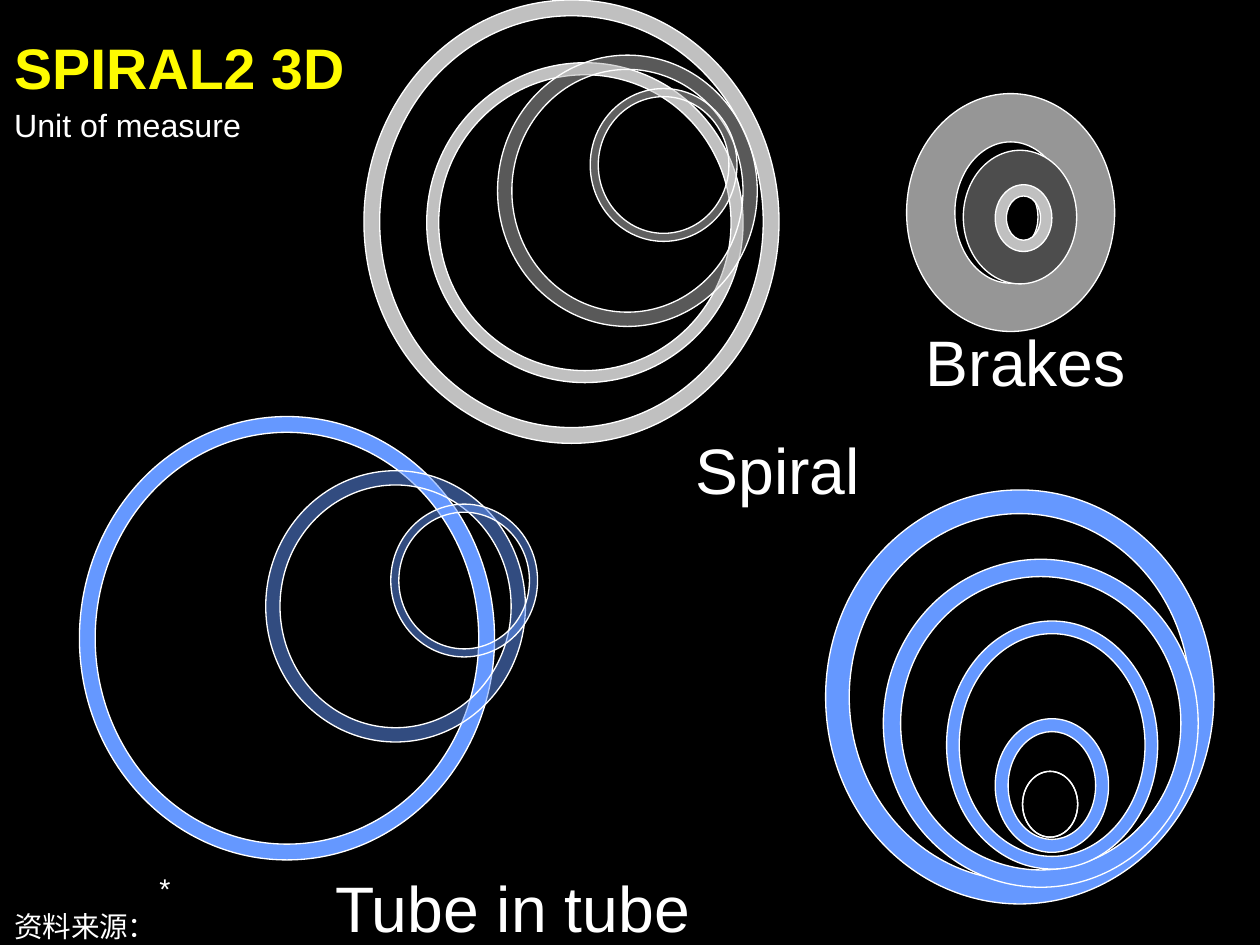
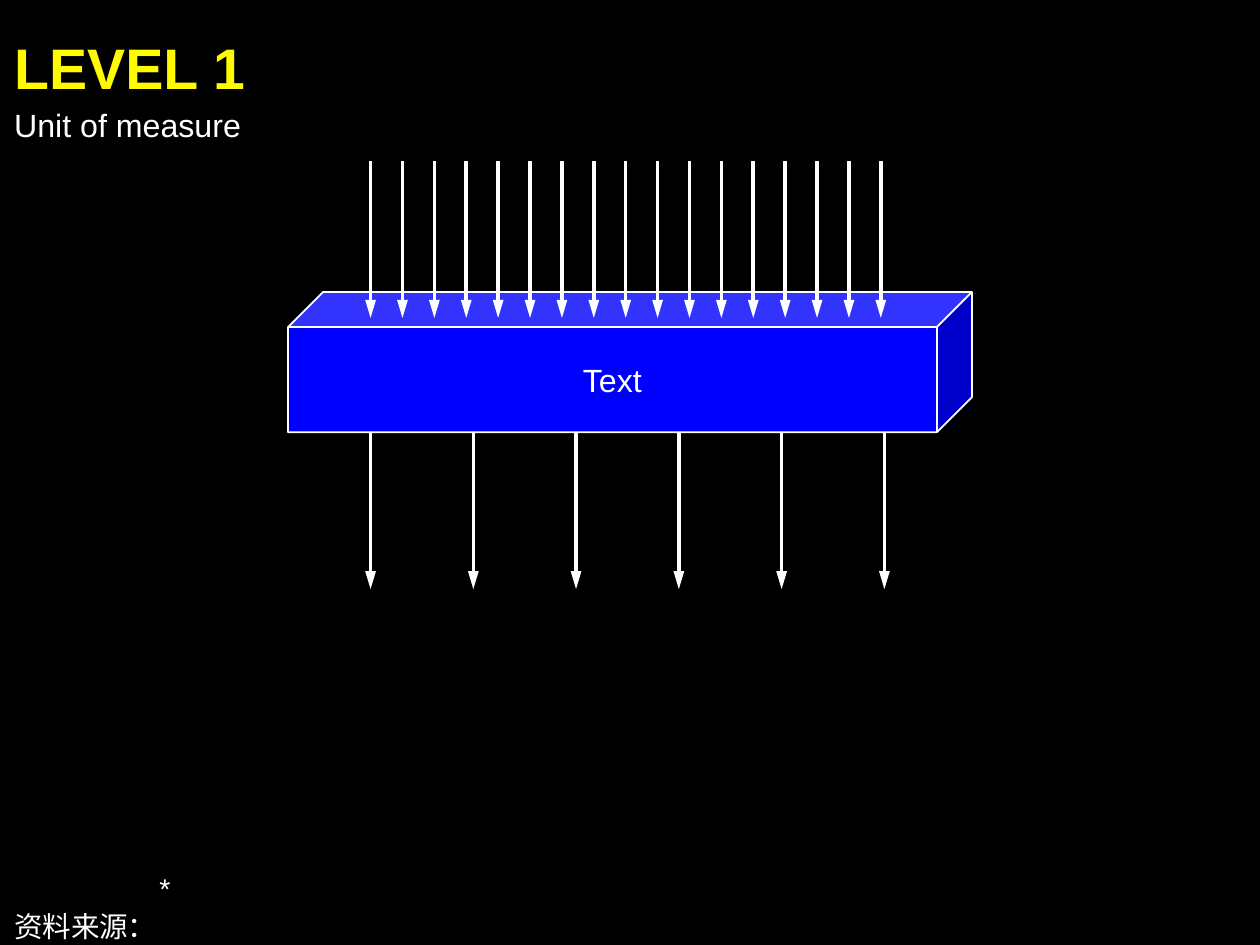
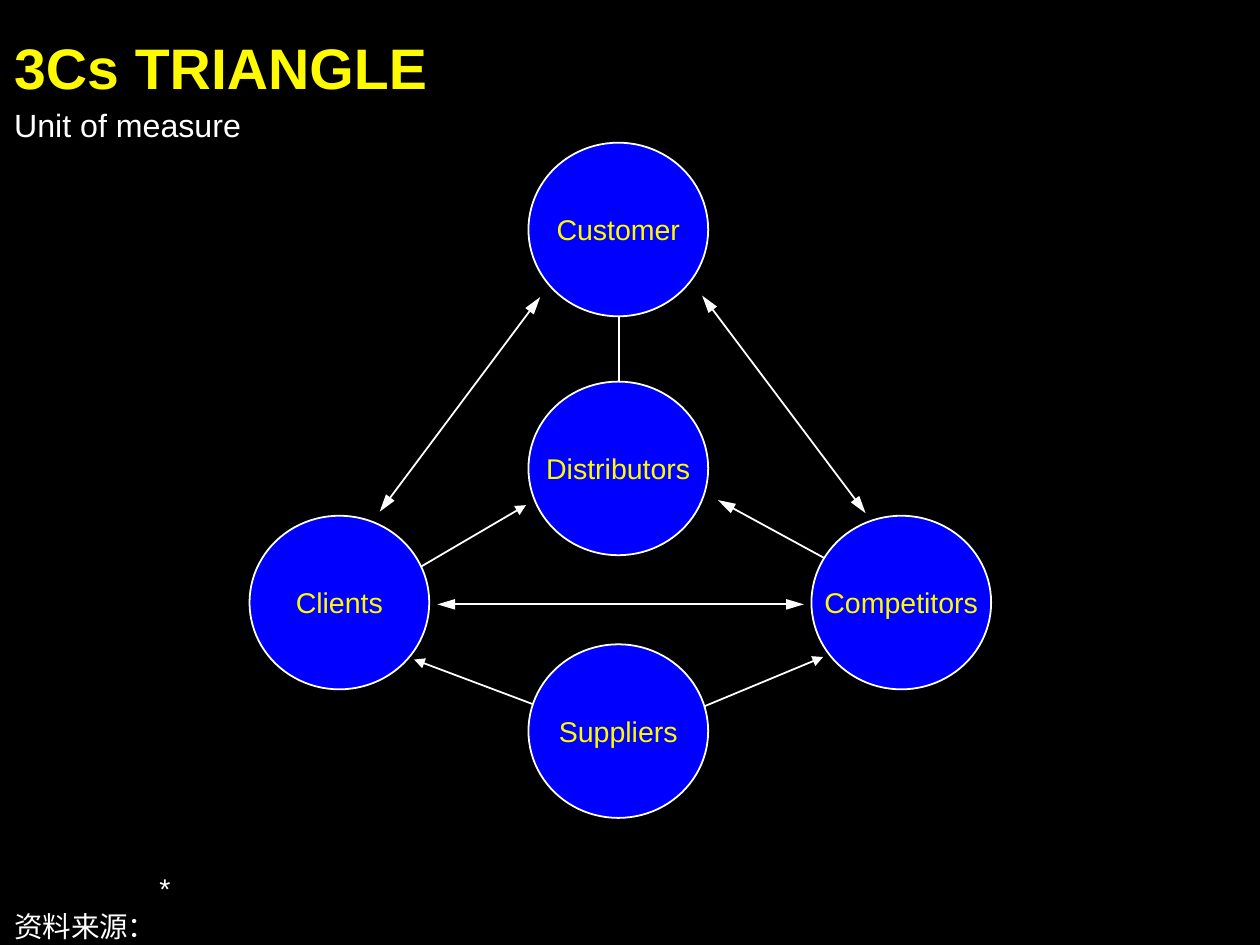
from dataclasses import dataclass

from lxml.etree import SubElement
from pptx import Presentation
from pptx.dml.color import RGBColor
from pptx.enum.shapes import MSO_CONNECTOR as CONN, MSO_SHAPE as SHAPE
from pptx.enum.text import MSO_ANCHOR as ANCHOR, MSO_AUTO_SIZE as FIT, PP_ALIGN as ALIGN
from pptx.oxml.ns import qn
from pptx.util import Cm, Pt


@dataclass(frozen=True)
class Theme:
    """Colours, font and type sizes of the deck."""
    back: str = "000000"
    ink: str = "FFFFFF"
    accent: str = "FEFB00"
    blue: str = "0000FE"
    sky: str = "6598FF"
    silver: str = "C0C0C0"
    ash: str = "B2B2B2"
    grey: str = "969696"
    coal: str = "4D4D4D"
    font: str = "Arial"
    title: int = 32
    label: int = 36
    body: int = 18
    small: int = 16


T = Theme()
TITLE_BOX = (0.28, 0.64, 24.16, 1.35)
UNIT_BOX = (0.28, 2.08, 18.39, 0.76)
SOURCE_BOX = (0.28, 17.22, 23.93, 1.42)

# Each ring: left, top, width, height, thickness, colour, opacity in percent.
SPIRAL = [
    (0, 0, 8.2, 8.76, 0.038, T.silver, 100),
    (1.24, 1.24, 6.25, 6.32, 0.038, T.silver, 100),
    (2.64, 1.09, 5.13, 5.36, 0.055, T.ash, 50),
    (4.47, 1.75, 2.9, 3.02, 0.055, T.silver, 50),
]
TUBE = [
    (0, 0, 8.2, 8.76, 0.038, T.sky, 100),
    (3.68, 1.07, 5.13, 5.36, 0.055, T.sky, 50),
    (6.15, 1.73, 2.9, 3.02, 0.055, T.sky, 50),
]
BRAKES = [
    (0, 0, 4.11, 4.7, 0.232, T.grey, 100),
    (1.12, 1.12, 2.24, 2.64, 0.341, T.coal, 100),
    (1.75, 1.8, 1.12, 1.32, 0.199, T.silver, 100),
]
NESTED = [
    (0, 0, 7.67, 8.18, 0.061, T.sky, 100),
    (1.14, 1.37, 6.22, 6.48, 0.055, T.sky, 100),
    (2.39, 2.59, 4.17, 4.9, 0.06, T.sky, 100),
    (3.35, 4.52, 2.24, 2.64, 0.114, T.sky, 100),
    (3.89, 5.56, 1.09, 1.3, 0, T.sky, 100),
]
CIRCLES = [
    ("Customer", 5.51, 0),
    ("Clients", 0, 7.37),
    ("Distributors", 5.51, 4.72),
    ("Competitors", 11.1, 7.37),
    ("Suppliers", 5.51, 9.91),
]
LINKS = [
    ((6.71, 11.51), (3.25, 10.21), {"tail": "med"}),
    ((7.67, 11.68), (11.33, 10.16), {"tail": "med"}),
    ((2.03, 9.17), (5.46, 7.16), {"tail": "med"}),
    ((12.85, 9.02), (9.25, 7.06), {"tail": "lg"}),
    ((7.3, 1.63), (7.3, 5.94), {}),
    ((5.74, 3.05), (2.57, 7.29), {"head": "lg", "tail": "lg"}),
    ((8.94, 3.02), (12.17, 7.32), {"head": "lg", "tail": "lg"}),
    ((10.95, 9.12), (3.71, 9.12), {"head": "lg", "tail": "lg"}),
]


def cm(*values):
    """Turn numbers in centimetres into lengths."""
    return [Cm(v) for v in values]


def assign(obj, values):
    """Set every attribute in a dict of format values."""
    for name, value in values.items():
        setattr(obj, name, value)


def write(tf, lines, size, color=T.ink, bold=False, align=ALIGN.LEFT, **frame):
    """Fill a text frame with lines of one style, without insets."""
    margins = dict.fromkeys(("margin_left", "margin_top", "margin_right", "margin_bottom"), 0)
    defaults = {"word_wrap": True, "auto_size": FIT.NONE, "vertical_anchor": ANCHOR.TOP}
    assign(tf, {**margins, **defaults, **frame})
    for i, line in enumerate(lines):
        p = tf.add_paragraph() if i else tf.paragraphs[0]
        p.alignment = align
        r = p.add_run()
        r.text = line
        assign(r.font, {"name": T.font, "size": Pt(size), "bold": bold})
        r.font.color.rgb = RGBColor.from_string(color)


def add_text(s, box, lines, size, **style):
    """Add a text box and return its frame."""
    tf = s.shapes.add_textbox(*cm(*box)).text_frame
    write(tf, lines, size, **style)
    return tf


def add_shape(s, kind, box, fill, width, opacity=100):
    """Add a filled, outlined preset shape."""
    sp = s.shapes.add_shape(kind, *cm(*box))
    sp.shadow.inherit = False
    sp.fill.solid()
    sp.fill.fore_color.rgb = RGBColor.from_string(fill)
    sp.line.color.rgb = RGBColor.from_string(T.ink)
    sp.line.width = Pt(width)
    if opacity < 100:
        color = sp._element.spPr.find(qn("a:solidFill"))[0]
        SubElement(color, qn("a:alpha"), val=str(opacity * 1000))
    return sp


def add_line(s, start, end, width, heads):
    """Add a straight line; heads maps an end to its arrowhead length."""
    line = s.shapes.add_connector(CONN.STRAIGHT, *cm(*start, *end))
    line.line.color.rgb = RGBColor.from_string(T.ink)
    line.line.width = Pt(width)
    ln = line.line._get_or_add_ln()
    for name, length in heads.items():
        SubElement(ln, qn(f"a:{name}End"), type="triangle", w="med", len=length)
    SubElement(line._element.spPr, qn("a:effectLst"))


def add_frame(prs, title):
    """Add a slide with its title, unit line and source note."""
    s = prs.slides.add_slide(prs.slide_layouts[5])
    write(s.shapes.title.text_frame, [title], T.title, color=T.accent, bold=True)
    add_text(s, UNIT_BOX, ["Unit of measure"], T.body)
    tf = add_text(s, SOURCE_BOX, ["*", "资料来源："], T.small, vertical_anchor=ANCHOR.BOTTOM)
    for p, indent in zip(tf.paragraphs, (2.87, 0)):
        p.space_after = Pt(2)
        p._p.get_or_add_pPr().set("marL", str(Cm(indent)))
    return s


def add_rings(s, left, top, rings, label=None, label_box=None):
    """Draw a cluster of rings and its label from a top left corner."""
    for x, y, w, h, thickness, color, opacity in rings:
        sp = add_shape(s, SHAPE.DONUT, (left + x, top + y, w, h), color, 0.75, opacity)
        sp.adjustments[0] = thickness
    if label:
        x, y, w, h = label_box
        add_text(s, (left + x, top + y, w, h), [label], T.label,
                 word_wrap=False, auto_size=FIT.SHAPE_TO_FIT_TEXT)


def add_arrow_row(s, left, top, count, pitch, length=3.1):
    """Draw evenly spaced arrows pointing down."""
    for i in range(count):
        x = left + i * pitch
        add_line(s, (x, top), (x, top + length), 2, {"tail": "lg"})


def add_level(s, left, top, width, height):
    """Draw the bar with arrows going in and coming out."""
    bar = add_shape(s, SHAPE.CUBE, (left, top, width, height), T.blue, 1)
    bar.adjustments[0] = 0.25
    write(bar.text_frame, ["Text"], T.body, align=ALIGN.CENTER, vertical_anchor=ANCHOR.MIDDLE)
    add_arrow_row(s, left + 1.63, top + height, 6, 2.03)
    add_arrow_row(s, left + 1.63, top - 2.59, 17, 0.63)


def add_triangle(s, left, top, width=3.55, height=3.43):
    """Draw the linked circles from a top left corner."""
    for (x1, y1), (x2, y2), heads in LINKS:
        add_line(s, (left + x1, top + y1), (left + x2, top + y2), 1, heads)
    for name, x, y in CIRCLES:
        sp = add_shape(s, SHAPE.OVAL, (left + x, top + y, width, height), T.blue, 1)
        write(sp.text_frame, [name], T.small, color=T.accent, align=ALIGN.CENTER,
              word_wrap=False, vertical_anchor=ANCHOR.MIDDLE)


def main():
    """Build and save the deck."""
    prs = Presentation()
    assign(prs, {"slide_width": Cm(24.89), "slide_height": Cm(18.67)})
    fill = prs.slide_master.background.fill
    fill.solid()
    fill.fore_color.rgb = RGBColor.from_string(T.back)
    title = prs.slide_layouts[5].placeholders[0]
    assign(title, dict(zip(("left", "top", "width", "height"), cm(*TITLE_BOX))))

    s = add_frame(prs, "SPIRAL2 3D")
    add_rings(s, 7.19, 0, SPIRAL, "Spiral", (6.55, 8.51, 3.25, 1.52))
    add_rings(s, 1.57, 8.23, TUBE, "Tube in tube", (5.05, 8.92, 7.06, 1.52))
    add_rings(s, 17.91, 1.85, BRAKES, "Brakes", (0.38, 4.52, 3.96, 1.52))
    add_rings(s, 16.31, 9.68, NESTED)

    add_level(add_frame(prs, "LEVEL 1"), 5.69, 5.77, 13.51, 2.77)
    add_triangle(add_frame(prs, "3Cs TRIANGLE"), 4.93, 2.82)
    prs.save("out.pptx")


if __name__ == "__main__":
    main()
